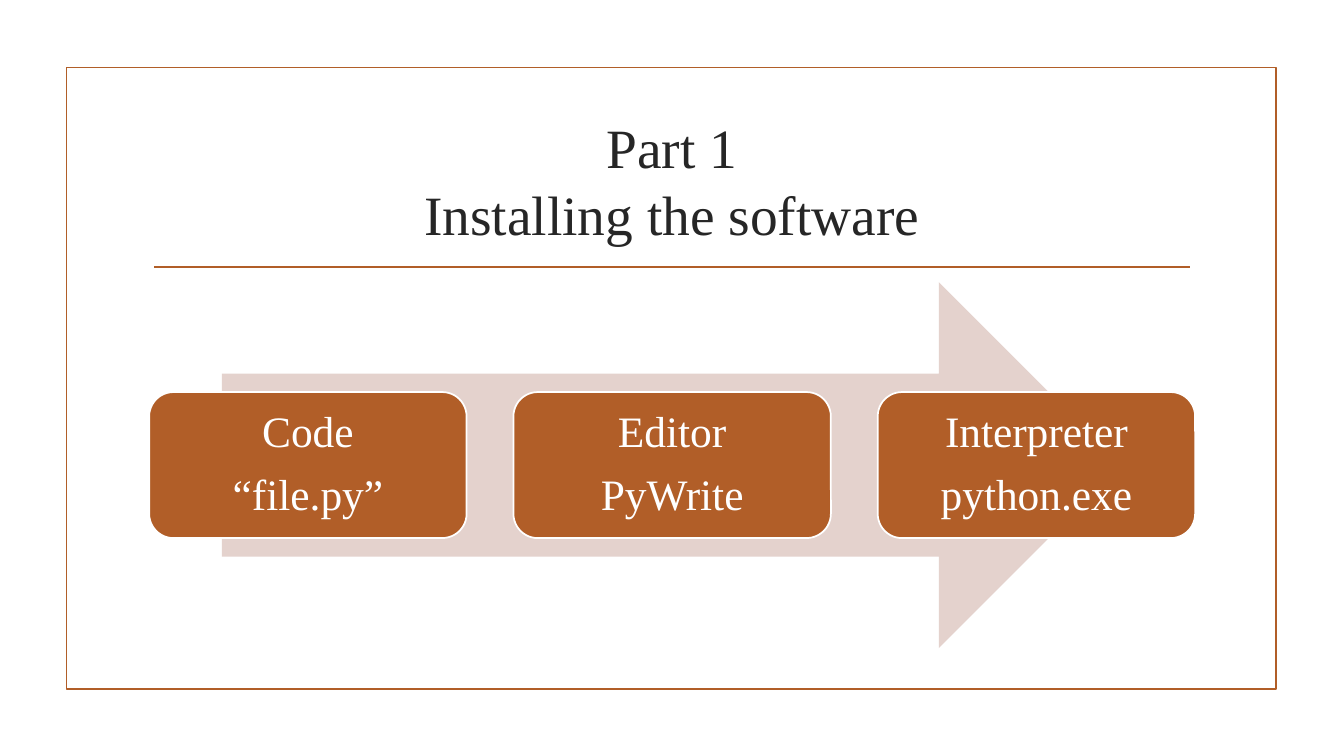
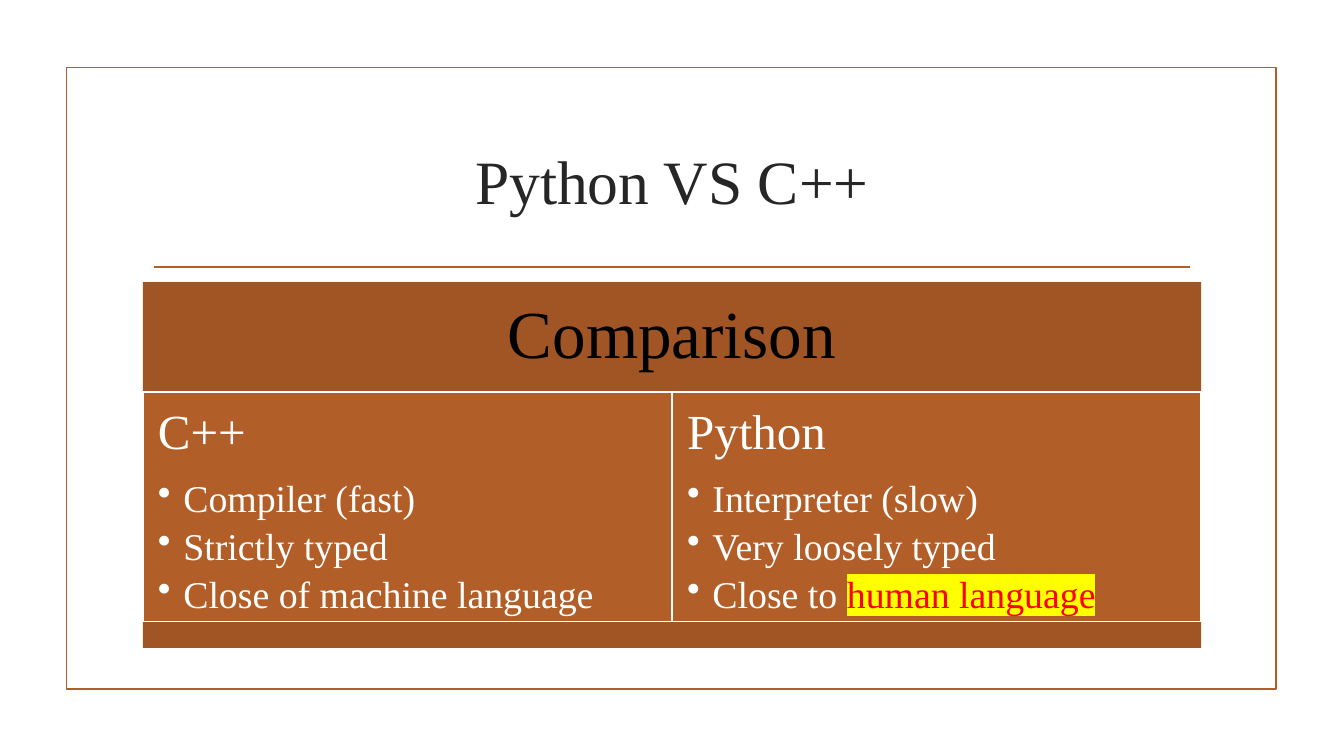
import pptx
import pptx.dml.color
import pptx.enum.shapes
import pptx.enum.text
import pptx.oxml
import pptx.oxml.ns
import pptx.util
import lxml.etree

Cm = pptx.util.Cm
Pt = pptx.util.Pt
SHAPE = pptx.enum.shapes.MSO_SHAPE
ALIGN = pptx.enum.text.PP_ALIGN
ANCHOR = pptx.enum.text.MSO_ANCHOR

COLORS = {
    "accent": "B15E28",
    "band": "A15524",
    "arrow": "E4D2CD",
    "title": "262626",
    "white": "FFFFFF",
    "black": "000000",
    "red": "FF0000",
    "yellow": "FFFF00",
}
FONT = "Times New Roman"
LINE_WIDTH = Pt(1.25)
CONTENT_LEFT, CONTENT_TOP, CONTENT_WIDTH = 3.6, 7.11, 26.67


def add_block(slide, geometry, box, fill=None, line=None, inset=0.25):
    """Add a preset shape; box is left, top, width, height in centimetres."""
    shape = slide.shapes.add_shape(geometry, *[Cm(length) for length in box])
    shape.shadow.inherit = False
    for part, color in ((shape.fill, fill), (shape.line.fill, line)):
        if color:
            part.solid()
            part.fore_color.rgb = pptx.dml.color.RGBColor.from_string(COLORS[color])
        else:
            part.background()
    if line:
        shape.line.width = LINE_WIDTH
    frame = shape.text_frame
    frame.word_wrap = True
    frame.vertical_anchor = ANCHOR.MIDDLE
    frame.margin_left = frame.margin_right = Cm(inset)
    frame.margin_top = frame.margin_bottom = Cm(inset)
    return shape


def add_text(frame, runs, size, align=ALIGN.CENTER, spacing=0.9, after=0, bullet=False):
    """Add a paragraph; each run is text, colour and highlight (or None)."""
    paragraph = frame.paragraphs[0]
    if paragraph.runs:
        paragraph = frame.add_paragraph()
    paragraph.alignment = align
    paragraph.line_spacing = spacing
    paragraph.space_after = Pt(after)
    if bullet:
        properties = paragraph._p.get_or_add_pPr()
        properties.set("marL", str(Cm(0.64)))
        properties.set("indent", str(-Cm(0.64)))
        mark = lxml.etree.SubElement(properties, pptx.oxml.ns.qn("a:buChar"))
        mark.set("char", "•")
    for text, color, highlight in runs:
        run = paragraph.add_run()
        run.text = text
        run.font.size = Pt(size)
        run.font.name = FONT
        run.font.color.rgb = pptx.dml.color.RGBColor.from_string(COLORS[color])
        if highlight:
            marker = pptx.oxml.parse_xml(
                f'<a:highlight {pptx.oxml.ns.nsdecls("a")}>'
                f'<a:srgbClr val="{COLORS[highlight]}"/></a:highlight>'
            )
            run.font._element.find(pptx.oxml.ns.qn("a:solidFill")).addnext(marker)


presentation = pptx.Presentation()
presentation.slide_width = Cm(33.87)
presentation.slide_height = Cm(19.05)

# Shared frame, rule and title
slides = []
for title_lines, title_size in (
    (["Part 1", "Installing the software"], 39.6),
    (["Python VS C++"], 44),
):
    slide = presentation.slides.add_slide(presentation.slide_layouts[6])
    slides.append(slide)
    add_block(slide, SHAPE.RECTANGLE, (1.68, 1.7, 30.48, 15.67), line="accent")

    rule = slide.shapes.add_connector(
        pptx.enum.shapes.MSO_CONNECTOR.STRAIGHT, Cm(3.89), Cm(6.73), Cm(30), Cm(6.73)
    )
    rule.line.color.rgb = pptx.dml.color.RGBColor.from_string(COLORS["accent"])
    rule.line.width = LINE_WIDTH
    lxml.etree.SubElement(rule._element.spPr, pptx.oxml.ns.qn("a:effectLst"))

    title = slide.shapes.add_textbox(
        Cm(CONTENT_LEFT), Cm(2.72), Cm(CONTENT_WIDTH), Cm(3.63)
    )
    title.text_frame.word_wrap = True
    title.text_frame.vertical_anchor = ANCHOR.MIDDLE
    for text in title_lines:
        add_text(title.text_frame, [(text, "title", None)], title_size, spacing=1.0)

installation, comparison = slides

# Installation: three steps on an arrow
add_block(installation, SHAPE.RIGHT_ARROW, (5.59, CONTENT_TOP, 22.68, 9.22), "arrow")
steps = [
    ("Code", "“file.py”"),
    ("Editor", "PyWrite"),
    ("Interpreter", "python.exe"),
]
for index, (name, example) in enumerate(steps):
    step = add_block(
        installation, SHAPE.ROUNDED_RECTANGLE, (3.76 + index * 9.18, 9.88, 8, 3.68),
        "accent", "white", inset=0.5,
    )
    add_text(step.text_frame, [(name, "white", None)], 31, after=12)
    add_text(step.text_frame, [(example, "white", None)], 31)

# Comparison: heading band, two panels, closing band
HEADING_HEIGHT, PANEL_HEIGHT = 2.77, 5.8
panel_top = CONTENT_TOP + HEADING_HEIGHT
panel_width = CONTENT_WIDTH / 2

heading = add_block(
    comparison, SHAPE.RECTANGLE,
    (CONTENT_LEFT, CONTENT_TOP, CONTENT_WIDTH, HEADING_HEIGHT), "band",
)
add_text(heading.text_frame, [("Comparison", "black", None)], 48)

panels = [
    ("C++", [
        [("Compiler (fast)", "white", None)],
        [("Strictly typed", "white", None)],
        [("Close of machine language", "white", None)],
    ]),
    ("Python", [
        [("Interpreter (slow)", "white", None)],
        [("Very loosely typed", "white", None)],
        [("Close to ", "white", None), ("human language", "red", "yellow")],
    ]),
]
for index, (language, points) in enumerate(panels):
    panel = add_block(
        comparison, SHAPE.RECTANGLE,
        (CONTENT_LEFT + index * panel_width, panel_top, panel_width, PANEL_HEIGHT),
        "accent", "white", inset=0.38,
    )
    frame = panel.text_frame
    frame.vertical_anchor = ANCHOR.TOP
    add_text(frame, [(language, "white", None)], 35, ALIGN.LEFT, after=14)
    for runs in points:
        add_text(frame, runs, 27, ALIGN.LEFT, after=5, bullet=True)

add_block(
    comparison, SHAPE.RECTANGLE,
    (CONTENT_LEFT, panel_top + PANEL_HEIGHT, CONTENT_WIDTH, 0.65), "band",
)

presentation.save("out.pptx")
